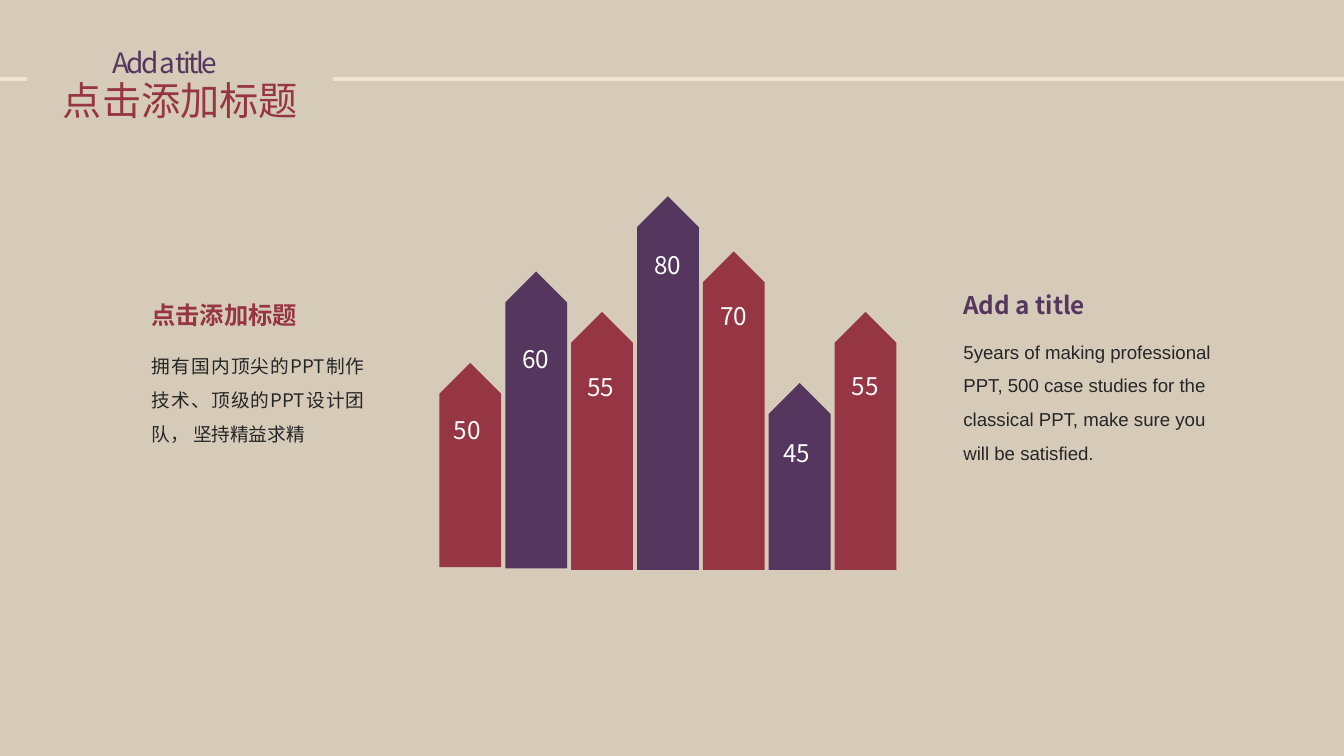
from dataclasses import dataclass

import pptx
import pptx.dml.color
import pptx.enum.shapes
import pptx.enum.text
import pptx.oxml.ns
import pptx.util
from lxml import etree
from pptx.util import Cm

IN = 2.54
RED, PURPLE, CREAM, DARK, WHITE = "963644", "55365F", "F3E6D1", "262626", "FFFFFF"
CJK = "Noto Sans CJK SC"
JUSTIFY = pptx.enum.text.PP_ALIGN.JUSTIFY
LEFT = pptx.enum.text.PP_ALIGN.LEFT


@dataclass
class Label:
    """Text with its box in inches."""
    text: str
    x: float
    y: float
    w: float
    h: float
    size: float
    color: str
    font: str = CJK
    bold: bool = False
    align: int = JUSTIFY
    spacing: float = 1.0
    tracking: int = 0


@dataclass
class Bar:
    value: int
    height: float
    bottom: float
    label_x: float
    label_y: float


BAR_LEFT, BAR_STEP, BAR_WIDTH = 3.27, 0.49, 0.46
BARS = [
    Bar(50, 1.52, 4.22, 3.28, 3.04),
    Bar(60, 2.21, 4.23, 3.79, 2.51),
    Bar(55, 1.92, 4.24, 4.27, 2.72),
    Bar(80, 2.78, 4.24, 4.77, 1.81),
    Bar(70, 2.37, 4.24, 5.26, 2.19),
    Bar(45, 1.39, 4.24, 5.73, 3.21),
    Bar(55, 1.92, 4.24, 6.24, 2.71),
]
LABELS = [
    Label("点击添加标题", 0.37, 0.52, 2.07, 0.45, 21, RED),
    Label("Add a title", 0.74, 0.29, 1.67, 0.35, 15, PURPLE, tracking=-150),
    Label("拥有国内顶尖的PPT制作技术、顶级的PPT设计团队， 坚持精益求精",
          1.03, 2.51, 1.78, 0.86, 10, DARK, spacing=1.5),
    Label("点击添加标题", 1.03, 2.08, 1.36, 0.43, 13, RED, bold=True, spacing=1.5),
    Label("5years of making professional PPT, 500 case studies for the "
          "classical PPT, make sure you will be satisfied.",
          7.07, 2.4, 2.09, 1.11, 10, DARK, font="Arial", align=LEFT, spacing=1.5),
    Label("Add a title", 7.07, 2, 1.18, 0.39, 13, PURPLE, bold=True, spacing=1.5),
]


def rgb(color: str) -> pptx.dml.color.RGBColor:
    return pptx.dml.color.RGBColor.from_string(color)


def add_label(s, label: Label) -> None:
    sp = s.shapes.add_textbox(*(Cm(v * IN) for v in (label.x, label.y, label.w, label.h)))
    tf = sp.text_frame
    tf.word_wrap = True
    tf.auto_size = pptx.enum.text.MSO_AUTO_SIZE.SHAPE_TO_FIT_TEXT
    p = tf.paragraphs[0]
    p.alignment = label.align
    p.line_spacing = label.spacing
    r = p.add_run()
    r.text = label.text
    r.font.size = pptx.util.Pt(label.size)
    r.font.bold = label.bold
    r.font.name = label.font
    r.font.color.rgb = rgb(label.color)
    rpr = r.font._element
    ea = etree.SubElement(rpr, pptx.oxml.ns.qn("a:ea"))
    ea.set("typeface", label.font)
    if label.tracking:
        rpr.set("spc", str(label.tracking))


def add_rule(s, x1: float, x2: float, y: float) -> None:
    line = s.shapes.add_connector(pptx.enum.shapes.MSO_CONNECTOR.STRAIGHT,
                                  Cm(x1 * IN), Cm(y * IN), Cm(x2 * IN), Cm(y * IN))
    line.line.color.rgb = rgb(CREAM)
    line.line.width = pptx.util.Pt(2.25)
    etree.SubElement(line._element.spPr, pptx.oxml.ns.qn("a:effectLst"))


def add_bar(s, index: int, bar: Bar) -> None:
    """Draw an upward pentagon, a homePlate turned about its centre, and its value."""
    cx = BAR_LEFT + index * BAR_STEP + BAR_WIDTH / 2
    cy = bar.bottom - bar.height / 2
    sp = s.shapes.add_shape(pptx.enum.shapes.MSO_SHAPE.PENTAGON,
                            Cm((cx - bar.height / 2) * IN), Cm((cy - BAR_WIDTH / 2) * IN),
                            Cm(bar.height * IN), Cm(BAR_WIDTH * IN))
    sp.rotation = 270
    sp.shadow.inherit = False
    sp.fill.solid()
    sp.fill.fore_color.rgb = rgb(PURPLE if index % 2 else RED)
    sp.line.fill.background()
    add_label(s, Label(str(bar.value), bar.label_x, bar.label_y, 0.46, 0.25, 13, WHITE,
                       align=LEFT))


def main() -> None:
    prs = pptx.Presentation()
    prs.slide_width = Cm(10 * IN)
    prs.slide_height = prs.slide_width * 9 // 16
    s = prs.slides.add_slide(prs.slide_layouts[6])
    s.background.fill.solid()
    s.background.fill.fore_color.rgb = rgb("D6CBB9")
    add_rule(s, 2.48, 10, 0.59)
    add_rule(s, 0, 0.2, 0.59)
    for index, bar in enumerate(BARS):
        add_bar(s, index, bar)
    for label in LABELS:
        add_label(s, label)
    prs.save("out.pptx")


if __name__ == "__main__":
    main()
